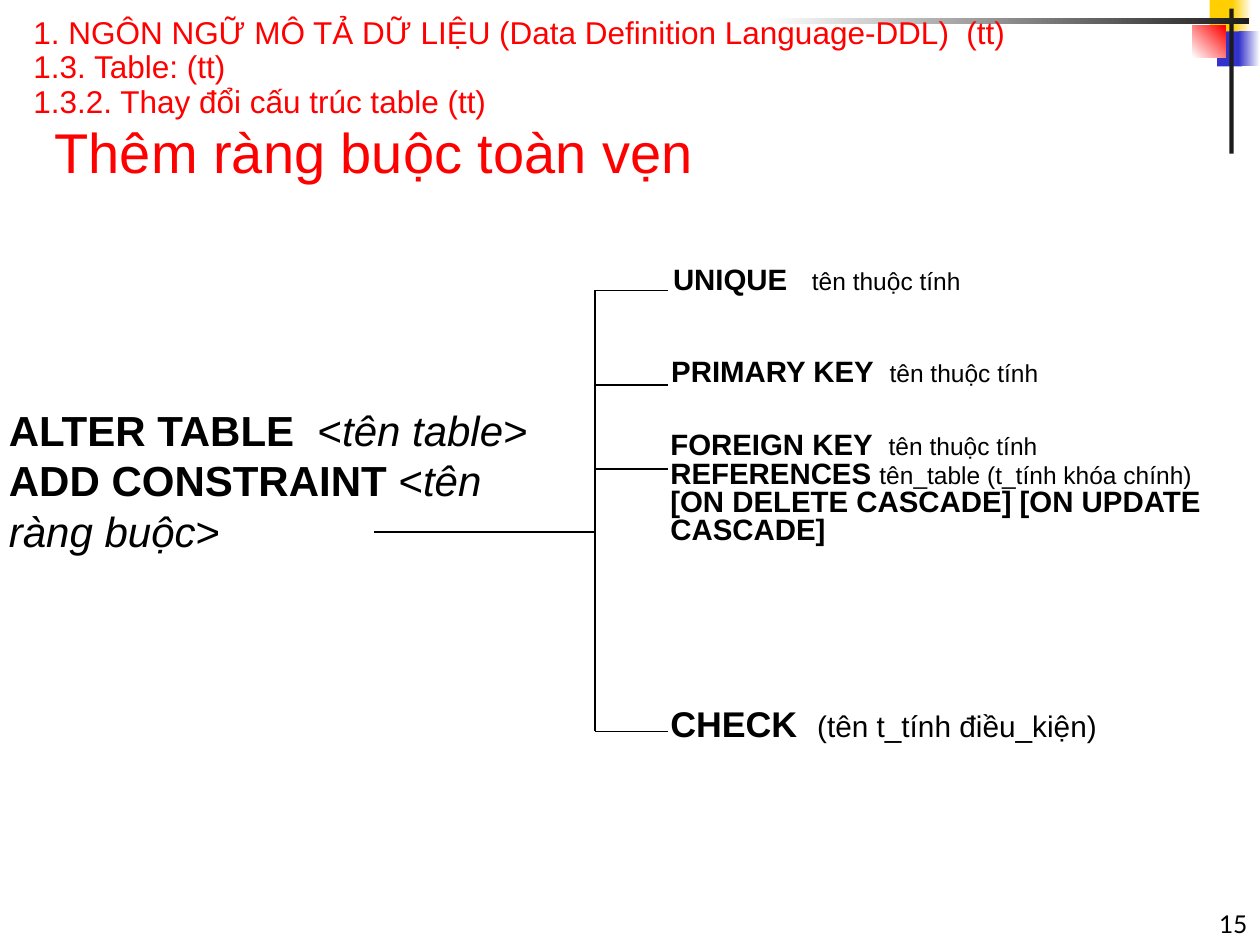
import dataclasses
import typing

import lxml.etree
import pptx
import pptx.dml.color
import pptx.enum.shapes
import pptx.enum.text
import pptx.oxml.ns
import pptx.util

Pt = pptx.util.Pt
Anchor = pptx.enum.text.MSO_ANCHOR
Align = pptx.enum.text.PP_ALIGN


@dataclasses.dataclass(frozen=True)
class Theme:
    font: str = "Arial"
    number_font: str = "Lato"
    black: str = "000000"
    red: str = "FF0000"
    white: str = "FFFFFF"
    yellow: str = "FFCF01"
    blue: str = "3333CC"
    dark: str = "1C1C1C"
    title: float = 32
    statement: float = 24
    check_keyword: float = 20.4
    heading: float = 18
    check_detail: float = 17
    keyword: float = 16.8
    detail: float = 14
    line: float = 0.75


THEME = Theme()


class Span(typing.NamedTuple):
    text: str
    size: float
    bold: bool = False
    italic: bool = False
    color: str = THEME.black
    font: str = THEME.font


class Area(typing.NamedTuple):
    left: float
    top: float
    width: float
    height: float


class Ornament(typing.NamedTuple):
    area: Area
    start: str
    end: str = ""
    angle: float = 0


@dataclasses.dataclass(frozen=True)
class TextBlock:
    area: Area
    paras: list[list[Span]]
    spacing: float = 1.0
    anchor: Anchor = Anchor.TOP
    align: Align = Align.LEFT


def keyword(text: str) -> Span:
    return Span(text, THEME.keyword, bold=True)


def detail(text: str) -> Span:
    return Span(text, THEME.detail)


def statement(command: str, name: str) -> list[Span]:
    return [
        Span(command, THEME.statement, bold=True),
        Span("<", THEME.statement),
        Span(name, THEME.statement, italic=True),
        Span(">", THEME.statement),
    ]


ORNAMENTS = [
    Ornament(Area(691.2, 0, 14.4, 20), THEME.yellow),
    Ornament(Area(704.2, 0, 11, 20), THEME.yellow, THEME.white),
    Ornament(Area(695.5, 18, 14.4, 20), THEME.blue),
    Ornament(Area(707.8, 18, 12.2, 20), THEME.blue, THEME.white),
    Ornament(Area(681.5, 14.8, 19, 18), THEME.white, THEME.red, 45),
    Ornament(Area(702.5, 5, 2.5, 82.8), THEME.dark),
    Ornament(Area(437.8, 10.2, 276, 3.5), THEME.white, THEME.dark),
]

TITLE = TextBlock(
    Area(24, 54, 613.4, 55.4),
    [[Span("Thêm ràng buộc toàn vẹn", THEME.title, color=THEME.red)]],
    anchor=Anchor.BOTTOM,
)

HEADING_LINES = [
    "1. NGÔN NGỮ MÔ TẢ DỮ LIỆU (Data Definition Language-DDL)  (tt)",
    "1.3. Table: (tt)",
    "1.3.2. Thay đổi cấu trúc table (tt)",
]

BLOCKS = [
    TextBlock(
        Area(570, 504, 150, 36),
        [[Span("15", THEME.detail, font=THEME.number_font)]],
        anchor=Anchor.BOTTOM,
        align=Align.RIGHT,
    ),
    TextBlock(
        Area(-2, 227.5, 336, 101),
        [statement("ALTER TABLE  ", "tên table"),
         statement("ADD CONSTRAINT ", "tên ràng buộc")],
    ),
    TextBlock(Area(377.5, 149.8, 306, 28),
              [[keyword("UNIQUE   "), detail("tên thuộc tính")]], 0.8),
    TextBlock(Area(376.5, 202.3, 319, 30),
              [[keyword("PRIMARY KEY  "), detail("tên thuộc tính")]], 0.8),
    TextBlock(
        Area(376, 244.1, 319.7, 93.6),
        [[keyword("FOREIGN KEY  "), detail("tên thuộc tính")],
         [keyword("REFERENCES "), detail("tên_table (t_tính khóa chính)"),
          keyword(" [ON DELETE CASCADE] [ON UPDATE CASCADE]")]],
        0.8,
    ),
    TextBlock(
        Area(376, 400.3, 332, 32.4),
        [[Span("CHECK  ", THEME.check_keyword, bold=True),
          Span("(tên t_tính điều_kiện)", THEME.check_detail)]],
        0.9,
    ),
    TextBlock(
        Area(12, 5.8, 696, 66.2),
        [[Span("\n".join(HEADING_LINES), THEME.heading, color=THEME.red)]],
        0.9,
        Anchor.BOTTOM,
    ),
]

STEM_LEFT, TRUNK, BRANCH_RIGHT = 214, 340, 382
STEM_TOP = 304
BRANCH_TOPS = [166, 220, 268, 418]


def rgb(color: str) -> pptx.dml.color.RGBColor:
    return pptx.dml.color.RGBColor.from_string(color)


def draw_ornament(page, ornament: Ornament) -> None:
    shape = page.shapes.add_shape(
        pptx.enum.shapes.MSO_SHAPE.RECTANGLE, *map(Pt, ornament.area))
    shape.shadow.inherit = False
    shape.line.fill.background()
    if not ornament.end:
        shape.fill.solid()
        shape.fill.fore_color.rgb = rgb(ornament.start)
        return
    shape.fill.gradient()
    shape.fill.gradient_angle = ornament.angle
    for stop, color in zip(shape.fill.gradient_stops, (ornament.start, ornament.end)):
        stop.color.rgb = rgb(color)


def add_span(para, span: Span) -> None:
    for index, line in enumerate(span.text.split("\n")):
        if index:
            para.add_line_break()
        run = para.add_run()
        run.text = line
        run.font.name = span.font
        run.font.size = Pt(span.size)
        run.font.bold = span.bold
        run.font.italic = span.italic
        run.font.color.rgb = rgb(span.color)


def write_block(box, block: TextBlock) -> None:
    box.left, box.top, box.width, box.height = map(Pt, block.area)
    frame = box.text_frame
    frame.word_wrap = True
    frame.auto_size = pptx.enum.text.MSO_AUTO_SIZE.NONE
    frame.vertical_anchor = block.anchor
    for index, spans in enumerate(block.paras):
        para = frame.add_paragraph() if index else frame.paragraphs[0]
        para.alignment = block.align
        para.line_spacing = block.spacing
        for span in spans:
            add_span(para, span)


def draw_line(page, left: float, top: float, right: float, bottom: float) -> None:
    line = page.shapes.add_connector(
        pptx.enum.shapes.MSO_CONNECTOR.STRAIGHT, *map(Pt, (left, top, right, bottom)))
    line.line.color.rgb = rgb(THEME.black)
    line.line.width = Pt(THEME.line)
    lxml.etree.SubElement(line._element.spPr, pptx.oxml.ns.qn("a:effectLst"))


def main() -> None:
    deck = pptx.Presentation()
    deck.slide_width, deck.slide_height = Pt(720), Pt(540)
    page = deck.slides.add_slide(deck.slide_layouts.get_by_name("Title Only"))
    for ornament in ORNAMENTS:
        draw_ornament(page, ornament)
    write_block(page.shapes.title, TITLE)
    for block in BLOCKS:
        write_block(page.shapes.add_textbox(*map(Pt, block.area)), block)
    draw_line(page, TRUNK, BRANCH_TOPS[0], TRUNK, BRANCH_TOPS[-1])
    for top in BRANCH_TOPS:
        draw_line(page, TRUNK, top, BRANCH_RIGHT, top)
    draw_line(page, STEM_LEFT, STEM_TOP, TRUNK, STEM_TOP)
    deck.save("out.pptx")


if __name__ == "__main__":
    main()
